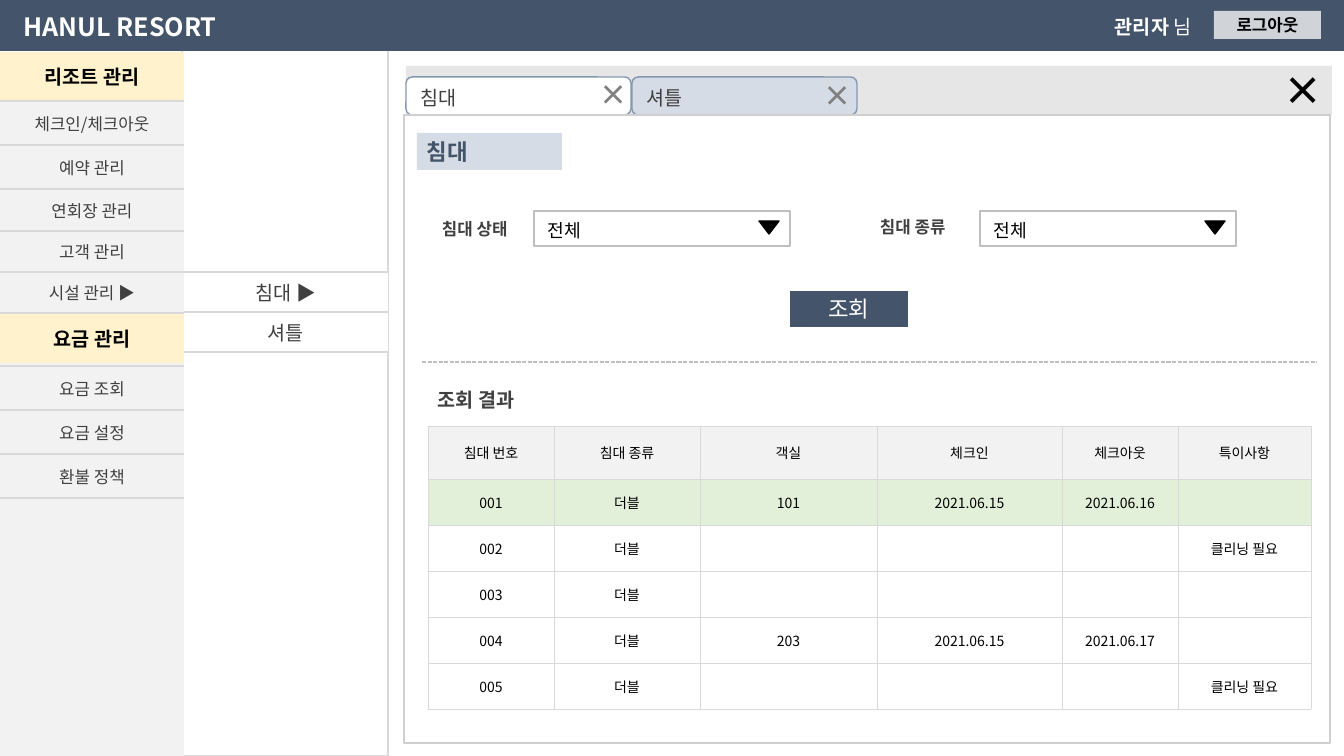
"""Build the bed management screen of a resort administration system."""
from lxml import etree
from pptx import Presentation
from pptx.dml.color import RGBColor
from pptx.enum import dml, shapes, text
from pptx.oxml.ns import qn
from pptx.util import Pt

SCALE = 12192000 / 1344
FONT = "Noto Sans CJK KR"
WHITE = RGBColor(0xFF, 0xFF, 0xFF)
BLACK = RGBColor(0, 0, 0)
NAVY = RGBColor(0x44, 0x54, 0x6A)
STEEL = RGBColor(0x84, 0x97, 0xB0)
MIST = RGBColor(0xD6, 0xDC, 0xE5)
CREAM = RGBColor(0xFF, 0xF2, 0xCC)
GREEN = RGBColor(0xE2, 0xF0, 0xD9)
DARK = RGBColor(0x40, 0x40, 0x40)
GRAY = RGBColor(0x80, 0x80, 0x80)
SILVER = RGBColor(0xBF, 0xBF, 0xBF)
EDGE = RGBColor(0xD0, 0xCE, 0xCE)
RULE = RGBColor(0xD9, 0xD9, 0xD9)
STRIP = RGBColor(0xE7, 0xE6, 0xE6)
PALE = RGBColor(0xF2, 0xF2, 0xF2)
LEFT, CENTER, JUSTIFY = text.PP_ALIGN.LEFT, text.PP_ALIGN.CENTER, text.PP_ALIGN.JUSTIFY
RECT = shapes.MSO_SHAPE.RECTANGLE
ROUND = shapes.MSO_SHAPE.ROUNDED_RECTANGLE
TRIANGLE = shapes.MSO_SHAPE.ISOSCELES_TRIANGLE

deck = Presentation()
deck.slide_width, deck.slide_height = round(1344 * SCALE), round(756 * SCALE)
page = deck.slides.add_slide(deck.slide_layouts[6])


def write(frame, label, size, color, bold=False, align=CENTER):
    """Put one styled line of text in a frame."""
    frame.word_wrap = True
    para = frame.paragraphs[0]
    para.alignment = align
    if label:
        para.add_run().text = label
    font = para.font
    font.size, font.bold, font.name = Pt(size), bold, FONT
    font.color.rgb = color
    etree.SubElement(font._element, qn("a:ea"), typeface=FONT)
    return para


def add_box(kind, bounds, fill, line=None):
    """Draw a flat preset shape."""
    box = page.shapes.add_shape(kind, *[round(n * SCALE) for n in bounds])
    box.shadow.inherit = False
    box.fill.solid()
    box.fill.fore_color.rgb = fill
    if line is None:
        box.line.fill.background()
    else:
        box.line.color.rgb = line
        box.line.width = Pt(1)
    return box


for kind, bounds, fill, line in [
    (RECT, (406, 66, 926, 49), STRIP, None),
    (RECT, (182, 50, 206, 706), WHITE, RULE),
    (RECT, (0, 52, 184, 704), PALE, None),
    (RECT, (0, 0, 1344, 51), NAVY, None),
    (ROUND, (632, 77, 225, 38), MIST, STEEL),
    (ROUND, (406, 77, 225, 38), WHITE, STEEL),
    (RECT, (404, 115, 926, 628), WHITE, EDGE),
]:
    add_box(kind, bounds, fill, line)

for bounds, fill, label, size, color, bold, align in [
    ((0, 52, 184, 49), CREAM, "리조트 관리", 14, BLACK, True, CENTER),
    ((0, 314, 184, 49), CREAM, "요금 관리", 14, BLACK, True, CENTER),
    ((417, 133, 145, 37), MIST, "침대", 16, NAVY, True, JUSTIFY),
    ((790, 291, 118, 36), NAVY, "조회", 16, WHITE, False, CENTER),
]:
    box = add_box(RECT, bounds, fill)
    box.text_frame.vertical_anchor = text.MSO_ANCHOR.MIDDLE
    write(box.text_frame, label, size, color, bold, align)

logout = add_box(RECT, (1214, 11, 107, 28), WHITE)
logout.text_frame.vertical_anchor = text.MSO_ANCHOR.MIDDLE
write(logout.text_frame, "로그아웃", 12, BLACK, True)
white_fill = logout._element.spPr.find(".//" + qn("a:srgbClr"))
etree.SubElement(white_fill, qn("a:alpha"), val="75000")

for select_left in (534, 980):
    add_box(RECT, (select_left, 211, 256, 35), WHITE, SILVER)
    arrow = add_box(TRIANGLE, (select_left + 225, 221, 20, 13), BLACK, BLACK)
    arrow.rotation = 180

for bounds, label, size, color, bold, align in [
    ((0, 6, 240, 40), "HANUL RESORT", 18, WHITE, True, CENTER),
    ((1274, 61, 58, 57), "×", 28, BLACK, True, LEFT),
    ((814, 74, 48, 44), "×", 20, GRAY, True, LEFT),
    ((590, 73, 48, 44), "×", 20, GRAY, True, LEFT),
    ((411, 81, 173, 34), "침대", 14, DARK, False, LEFT),
    ((637, 81, 173, 34), "셔틀", 14, DARK, False, LEFT),
    ((432, 214, 161, 30), "침대 상태", 12, DARK, True, LEFT),
    ((870, 212, 113, 30), "침대 종류", 12, DARK, True, LEFT),
    ((538, 214, 77, 32), "전체", 13, BLACK, False, JUSTIFY),
    ((984, 214, 77, 32), "전체", 13, BLACK, False, JUSTIFY),
    ((428, 383, 241, 34), "조회 결과", 14, DARK, True, LEFT),
    ((1105, 10, 121, 34), "관리자", 14, WHITE, False, LEFT),
]:
    box = page.shapes.add_textbox(*[round(n * SCALE) for n in bounds])
    para = write(box.text_frame, label, size, color, bold, align)
para.runs[0].font.bold = True
para.add_run().text = " 님"

divider = page.shapes.add_connector(
    shapes.MSO_CONNECTOR.STRAIGHT, *[round(n * SCALE) for n in (422, 362, 1317, 362)])
divider.line.color.rgb = SILVER
divider.line.width = Pt(1)
divider.line.dash_style = dml.MSO_LINE.SQUARE_DOT
etree.SubElement(divider._element.spPr, qn("a:effectLst"))

resort_menu = [["체크인/체크아웃"], ["예약 관리"], ["연회장 관리"], ["고객 관리"], ["시설 관리 ▶"]]
fee_menu = [["요금 조회"], ["요금 설정"], ["환불 정책"]]
facility_menu = [["침대 ▶"], ["셔틀"]]
beds = [
    ["침대 번호", "침대 종류", "객실", "체크인", "체크아웃", "특이사항"],
    ["001", "더블", "101", "2021.06.15", "2021.06.16", ""],
    ["002", "더블", "", "", "", "클리닝 필요"],
    ["003", "더블", "", "", "", ""],
    ["004", "더블", "203", "2021.06.15", "2021.06.17", ""],
    ["005", "더블", "", "", "", "클리닝 필요"],
]
bed_widths = [126, 146, 177, 185, 116, 133]
for left, top, widths, heights, rows, fills, size, color, sides, weight in [
    (0, 101, [184], [44, 44, 42, 41, 41], resort_menu, [PALE] * 5, 12, DARK, "TB", 1),
    (0, 366, [184], [44] * 3, fee_menu, [PALE] * 3, 12, DARK, "TB", 1),
    (184, 272, [204], [40] * 2, facility_menu, [WHITE] * 2, 14, DARK, "TB", 1),
    (428, 426, bed_widths, [53] + [46] * 5, beds, [PALE, GREEN] + [WHITE] * 4,
     10, BLACK, "LRTB", 0.25),
]:
    bounds = (left, top, sum(widths), sum(heights))
    grid = page.shapes.add_table(
        len(rows), len(widths), *[round(n * SCALE) for n in bounds]).table
    grid.first_row = grid.horz_banding = False
    for column, width in zip(grid.columns, widths):
        column.width = round(width * SCALE)
    for row, height, labels, fill in zip(grid.rows, heights, rows, fills):
        row.height = round(height * SCALE)
        for cell, label in zip(row.cells, labels):
            cell.vertical_anchor = text.MSO_ANCHOR.MIDDLE
            write(cell.text_frame, label, size, color)
            for side in "LRTB":
                border = etree.SubElement(
                    cell._tc.get_or_add_tcPr(), qn("a:ln" + side), w=str(Pt(weight)))
                if side in sides:
                    paint = etree.SubElement(border, qn("a:solidFill"))
                    etree.SubElement(paint, qn("a:srgbClr"), val=str(RULE))
                else:
                    etree.SubElement(border, qn("a:noFill"))
            cell.fill.solid()
            cell.fill.fore_color.rgb = fill

deck.save("out.pptx")
